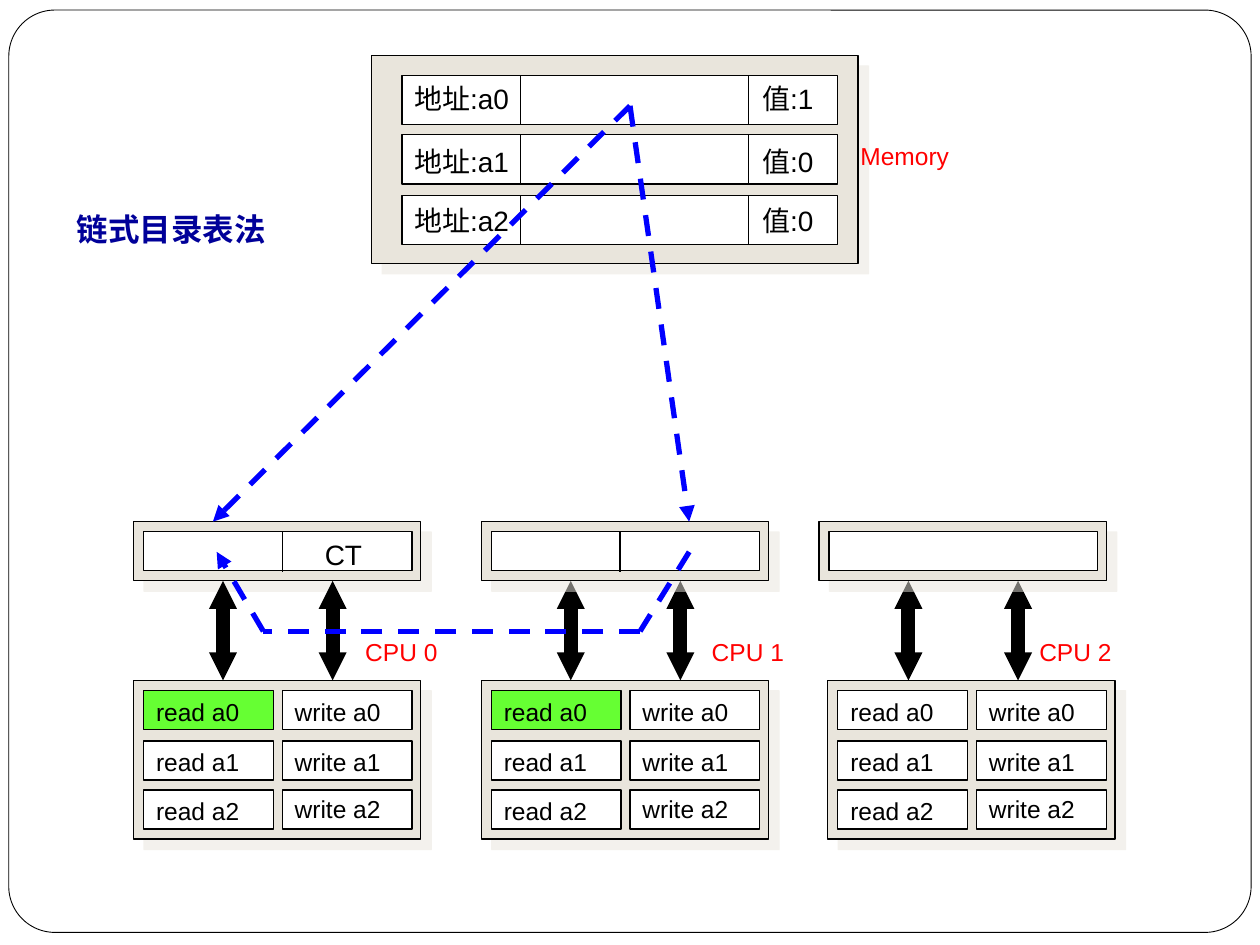
from lxml import etree
from pptx import Presentation
from pptx.dml.color import RGBColor
from pptx.enum.dml import MSO_LINE
from pptx.enum.shapes import MSO_CONNECTOR, MSO_SHAPE
from pptx.enum.text import MSO_ANCHOR, MSO_AUTO_SIZE, PP_ALIGN
from pptx.oxml.ns import qn
from pptx.util import Pt

RECT, ROUND = MSO_SHAPE.RECTANGLE, MSO_SHAPE.ROUNDED_RECTANGLE
LINE, DASH = MSO_CONNECTOR.STRAIGHT, MSO_LINE.DASH
FIT, TOP, LEFT = MSO_AUTO_SIZE.SHAPE_TO_FIT_TEXT, MSO_ANCHOR.TOP, PP_ALIGN.LEFT

PX = 9144  # 100 px to the inch
COLORS = {
    "white": "FFFFFF", "black": "000000", "panel": "E9E5DC", "green": "66FF33",
    "red": "FF0000", "blue": "0000FF", "navy": "000099",
}

# CPU name, x of core, x of cache, x of label, holds a0, cache behind arrows
CPUS = [
    ("CPU 0", 106, 106, 280, True, True),
    ("CPU 1", 382, 382, 555, True, False),
    ("CPU 2", 657, 650, 815, False, False),
]
# Row top, text top, address, value
WORDS = [(60, 60, "a0", 1), (107, 110, "a1", 0), (155, 157, "a2", 0)]


def px(*nums):
    return [n * PX for n in nums]


def rgb(name):
    return RGBColor.from_string(COLORS[name])


def add_box(slide, x, y, w, h, fill="white", kind=RECT, width=0.75):
    box = slide.shapes.add_shape(kind, *px(x, y, w, h))
    box.shadow.inherit = False
    box.fill.solid()
    box.fill.fore_color.rgb = rgb(fill)
    box.line.color.rgb = rgb("black")
    box.line.width = Pt(width)
    return box


def add_panel(slide, x, y, w, h):
    """Beige box with a soft offset shadow."""
    box = add_box(slide, x, y, w, h, "panel")
    effects = box._element.spPr.find(qn("a:effectLst"))
    shade = etree.SubElement(effects, qn("a:outerShdw"), dist=str(Pt(8.5)),
                             dir="2700000", algn="ctr", rotWithShape="0")
    tint = etree.SubElement(shade, qn("a:srgbClr"), val=COLORS["panel"])
    etree.SubElement(tint, qn("a:alpha"), val="50000")


def style_text(shape, text, size, color, bold=False):
    frame = shape.text_frame
    frame.text = text
    frame.auto_size = FIT
    frame.vertical_anchor = TOP
    para = frame.paragraphs[0]
    para.alignment = LEFT
    font = para.runs[0].font
    font.name, font.size, font.bold = "Arial", Pt(size), bold
    font.color.rgb = rgb(color)
    return frame


def add_text(slide, x, y, text, size=14, color="black", w=102):
    high = 34 if size == 14 else 37
    box = slide.shapes.add_textbox(*px(x, y, w, high))
    frame = style_text(box, text, size, color)
    frame.word_wrap = True
    frame.paragraphs[0].space_before = Pt(size * 0.625)


def add_line(slide, start, end, color="black", width=0.75, heads=(),
             size="med", dash=False):
    link = slide.shapes.add_connector(LINE, *px(*start, *end))
    link.line.color.rgb = rgb(color)
    link.line.width = Pt(width)
    if dash:
        link.line.dash_style = DASH
    props = link._element.spPr
    stroke = props.find(qn("a:ln"))
    for head in heads:
        etree.SubElement(stroke, qn("a:" + head), type="triangle",
                         w=size, len=size)
    etree.SubElement(props, qn("a:effectLst"))


def add_title(slide):
    title = slide.shapes.title
    title.left, title.top, title.width, title.height = px(45, 162, 177, 40)
    frame = style_text(title, "链式目录表法", 18, "navy", True)
    frame.word_wrap = False
    frame.margin_left, frame.margin_right = px(16, 10)
    frame.margin_top, frame.margin_bottom = px(5, 5)


def add_frame(slide):
    frame = add_box(slide, 7, 8, 986, 732, kind=ROUND, width=0.5)
    frame.adjustments[0] = 0.05
    slide.shapes.title._element.addprevious(frame._element)


def add_memory(slide):
    add_panel(slide, 295, 44, 386, 165)
    for y, top, name, value in WORDS:
        add_box(slide, 319, y, 346, 39)
        add_text(slide, 319, top, f"地址:{name}", 16)
        add_text(slide, 595, top, f"值:{value}", 16)
        for x in (413, 594):
            add_line(slide, (x, y), (x, y + 39))
    add_text(slide, 673, 107, "Memory", color="red")


def add_core(slide, x, shared):
    """Panel with a grid of read and write requests."""
    add_panel(slide, x, 540, 228, 126)
    for col, verb in enumerate(("read", "write")):
        for row, y in enumerate((548, 588, 627)):
            left = x + 8 + 110 * col
            hit = shared and row == col == 0
            add_box(slide, left, y, 103, 31, "green" if hit else "white")
            lift = 2 if col == 1 and row == 2 else 0
            add_text(slide, left, y - lift, f"{verb} a{row}")


def add_cache(slide, x):
    add_panel(slide, x, 414, 228, 47)
    add_box(slide, x + 8, 422, 213, 31)


def add_bus(slide, x):
    for shift in (71, 158):
        add_line(slide, (x + shift, 461), (x + shift, 540), width=8,
                 heads=("headEnd", "tailEnd"), size="sm")


def add_chain(slide):
    """Dashed pointers from memory through the caches."""
    for x in (224, 492):
        add_line(slide, (x, 422), (x, 454))
    add_text(slide, 248, 422, "CT", 16, w=71)
    hops = [
        ((500, 84), (547, 414), True),
        ((547, 438), (508, 501), False),
        ((508, 501), (209, 501), False),
        ((209, 501), (172, 438), True),
        ((500, 84), (169, 414), True),
    ]
    for start, end, tip in hops:
        add_line(slide, start, end, "blue", 3,
                 ("tailEnd",) if tip else (), dash=True)


def main():
    deck = Presentation()
    deck.slide_width, deck.slide_height = px(1000, 750)
    slide = deck.slides.add_slide(deck.slide_layouts[5])
    add_title(slide)
    add_frame(slide)

    # Processors, each with its cache
    for name, core, cache, label, shared, behind in CPUS:
        add_core(slide, core, shared)
        if behind:
            add_cache(slide, cache)
        add_bus(slide, cache)
        if not behind:
            add_cache(slide, cache)
        add_text(slide, label, 501, name, color="red")

    # Memory and the directory chain
    add_memory(slide)
    add_chain(slide)
    deck.save("out.pptx")


if __name__ == "__main__":
    main()
